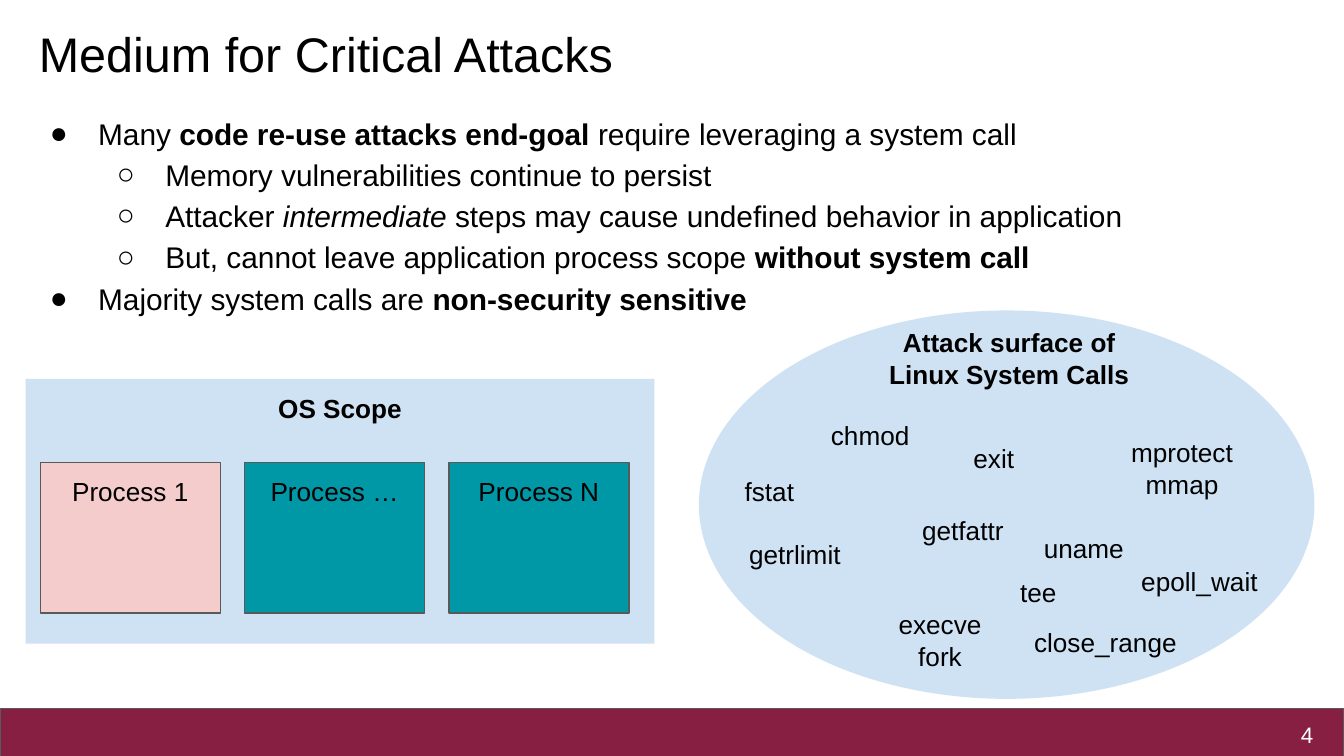
"""Build the slide on system calls as a medium for critical attacks."""
from lxml import etree
from pptx import Presentation
from pptx import util as u
from pptx.dml.color import RGBColor
from pptx.enum import shapes, text
from pptx.oxml.ns import qn

COLORS = {
    "text": "000000",
    "white": "FFFFFF",
    "footer": "861F41",
    "scope": "CFE2F3",
    "attacked": "F4CCCC",
    "process": "0097A7",
    "outline": "595959",
}
FONT = "Arial"
CENTER = text.PP_ALIGN.CENTER
RECTANGLE = shapes.MSO_SHAPE.RECTANGLE

BULLETS = [
    (0, [("Many ", ""), ("code re-use attacks end-goal", "bold"),
         (" require leveraging a system call", "")]),
    (1, [("Memory vulnerabilities continue to persist", "")]),
    (1, [("Attacker ", ""), ("intermediate", "italic"),
         (" steps may cause undefined behavior in application", "")]),
    (1, [("But, cannot leave application process scope ", ""),
         ("without system call", "bold")]),
    (0, [("Majority system calls are ", ""), ("non-security sensitive", "bold")]),
]

SYSTEM_CALLS = [
    ("chmod", 6.09, 3.12, 0.77),
    ("exit", 7.01, 3.29, 0.77),
    ("mprotect\nmmap", 8.37, 3.25, 0.85),
    ("fstat", 5.34, 3.54, 0.77),
    ("getfattr", 6.78, 3.83, 0.77),
    ("uname", 7.68, 3.96, 0.77),
    ("getrlimit", 5.53, 4.01, 0.77),
    ("epoll_wait", 8.43, 4.21, 0.99),
    ("tee", 7.34, 4.29, 0.77),
    ("execve\nfork", 6.61, 4.53, 0.77),
    ("close_range", 7.64, 4.66, 1.17),
]


def rgb(name):
    return RGBColor.from_string(COLORS[name])


def style_run(run, size, color="text", bold=False, italic=False):
    run.font.name = FONT
    run.font.size = u.Pt(size)
    run.font.color.rgb = rgb(color)
    run.font.bold = bold
    run.font.italic = italic


def set_frame(frame, margins, anchor=text.MSO_ANCHOR.TOP):
    frame.word_wrap = True
    frame.vertical_anchor = anchor
    frame.margin_left, frame.margin_top, frame.margin_right, frame.margin_bottom = (
        u.Inches(margin) for margin in margins)


def write(frame, content, size, align, color="text", bold=False):
    frame.text = content
    for paragraph in frame.paragraphs:
        paragraph.alignment = align
        for run in paragraph.runs:
            style_run(run, size, color, bold)


def add_label(slide, content, box, size=14, align=CENTER, margin=0,
              anchor=text.MSO_ANCHOR.TOP, **style):
    label = slide.shapes.add_textbox(*map(u.Inches, box))
    set_frame(label.text_frame, [margin] * 4, anchor)
    write(label.text_frame, content, size, align, **style)


def add_block(slide, kind, box, fill, outlined=False, content="", bold=False):
    shape = slide.shapes.add_shape(kind, *map(u.Inches, box))
    shape.shadow.inherit = False
    shape.fill.solid()
    shape.fill.fore_color.rgb = rgb(fill)
    if outlined:
        shape.line.color.rgb = rgb("outline")
        shape.line.width = u.Pt(0.75)
    else:
        shape.line.fill.background()
    if content:
        set_frame(shape.text_frame, [0.1] * 4)
        write(shape.text_frame, content, 14, CENTER, bold=bold)


def set_bullet(paragraph, level):
    paragraph.level = level
    properties = paragraph._p.get_or_add_pPr()
    properties.set("marL", str(u.Inches(0.5 * (level + 1))))
    properties.set("indent", str(u.Inches(-0.36)))
    paragraph.line_spacing = 1.15
    color = etree.SubElement(properties, qn("a:buClr"))
    etree.SubElement(color, qn("a:srgbClr"), val=COLORS["text"])
    etree.SubElement(properties, qn("a:buFont"), typeface=FONT)
    etree.SubElement(properties, qn("a:buChar"), char="●○"[level])


def add_bullets(slide, items, box):
    frame = slide.shapes.add_textbox(*map(u.Inches, box)).text_frame
    set_frame(frame, (0.04, 0.03, 0.03, 0.03))
    for index, (level, pieces) in enumerate(items):
        paragraph = frame.add_paragraph() if index else frame.paragraphs[0]
        set_bullet(paragraph, level)
        for content, emphasis in pieces:
            run = paragraph.add_run()
            run.text = content
            style_run(run, 16, bold=emphasis == "bold", italic=emphasis == "italic")


def add_os_scope(slide):
    add_block(slide, RECTANGLE, (0.19, 2.82, 4.68, 1.97), "scope",
              content="OS Scope", bold=True)
    processes = [("Process 1", "attacked"), ("Process …", "process"),
                 ("Process N", "process")]
    for index, (name, fill) in enumerate(processes):
        add_block(slide, RECTANGLE, (0.3 + 1.52 * index, 3.44, 1.34, 1.12), fill,
                  outlined=True, content=name)


def add_attack_surface(slide):
    add_block(slide, shapes.MSO_SHAPE.OVAL, (5.2, 2.31, 4.58, 2.89), "scope")
    add_label(slide, "Attack surface of Linux System Calls",
              (6.58, 2.43, 1.86, 0.46), bold=True)
    for name, left, top, width in SYSTEM_CALLS:
        add_label(slide, name, (left, top, width, 0.27))


def main():
    presentation = Presentation()
    presentation.slide_width = u.Inches(10)
    presentation.slide_height = u.Inches(10 * 9 / 16)
    slide = presentation.slides.add_slide(presentation.slide_layouts[6])

    add_block(slide, RECTANGLE, (0, 5.27, 10, 0.37), "footer", outlined=True)
    add_attack_surface(slide)
    add_label(slide, "Medium for Critical Attacks", (0.19, 0.08, 9.59, 0.63),
              size=26, align=text.PP_ALIGN.LEFT, margin=0.1)
    add_bullets(slide, BULLETS, (0.19, 0.79, 9.48, 1.58))
    add_label(slide, "4", (9.27, 5.28, 0.6, 0.37), size=12, color="white",
              align=text.PP_ALIGN.RIGHT, margin=0.1, anchor=text.MSO_ANCHOR.MIDDLE)
    add_os_scope(slide)

    presentation.save("out.pptx")


if __name__ == "__main__":
    main()
